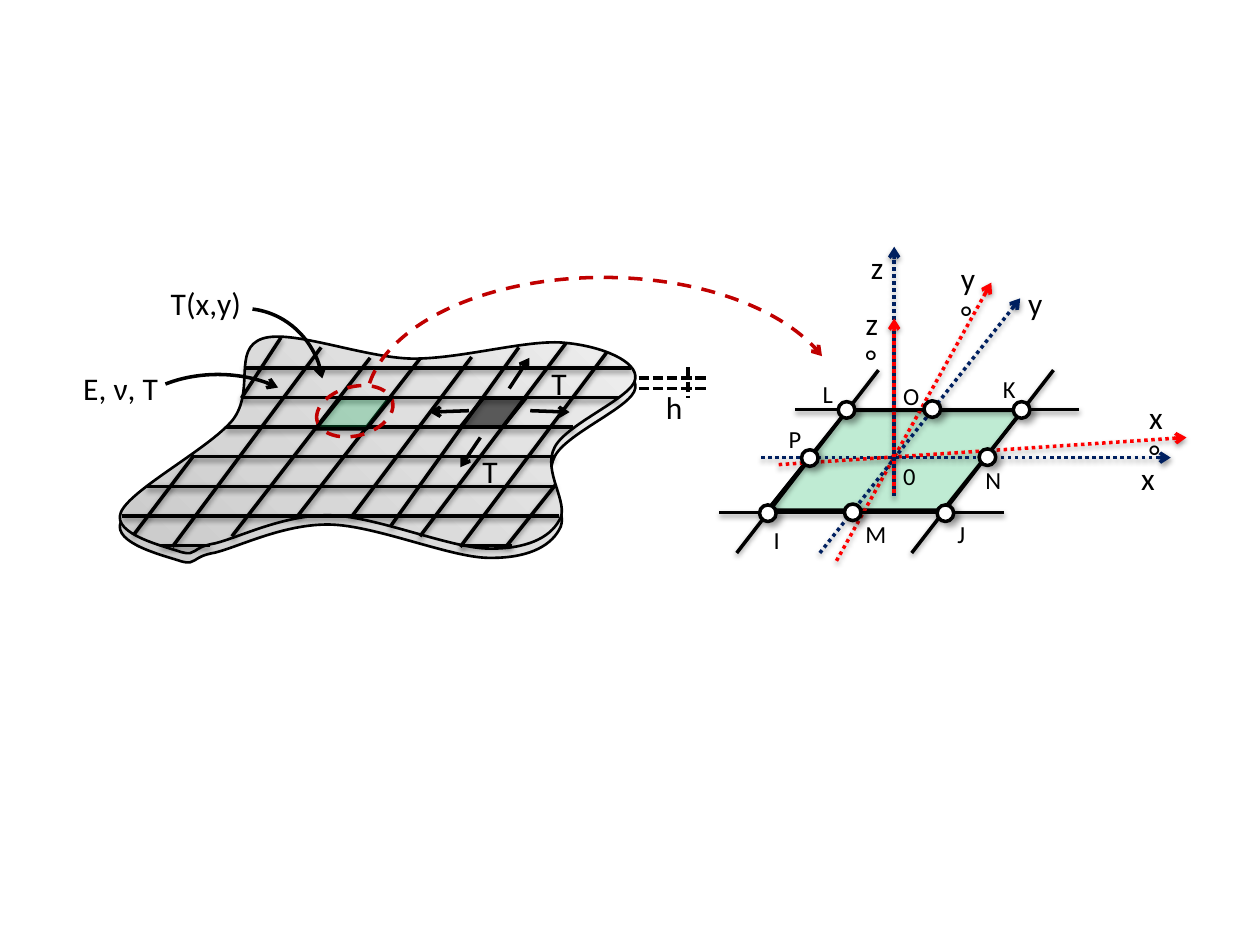
import pptx
import pptx.dml.color
import pptx.enum.dml
import pptx.enum.shapes
import pptx.oxml.ns
import pptx.util
from dataclasses import dataclass
from lxml import etree

Pt = pptx.util.Pt
qn = pptx.oxml.ns.qn
SHAPE = pptx.enum.shapes.MSO_SHAPE
DASH = pptx.enum.dml.MSO_LINE


@dataclass(frozen=True)
class Theme:
    font: str = "Calibri"
    label: float = 18
    node_label: float = 14
    line: float = 2
    outline: float = 1.5
    black: str = "000000"
    white: str = "FFFFFF"
    gray: str = "595959"
    green: str = "00B050"
    red: str = "FF0000"
    dark_red: str = "C00000"
    navy: str = "002060"
    plate_dark: str = "CACACA"
    plate_light: str = "EEEEEE"


THEME = Theme()
# Shadows: opacity %, blur, distance, direction in degrees
LINE_SHADOW = (38, 3.1, 1.6, 90)
NODE_SHADOW = (40, 4, 3, 45)
SKEW = 0.8


def rgb(color):
    return pptx.dml.color.RGBColor.from_string(color)


def add_alpha(color_element, percent):
    etree.SubElement(color_element, qn("a:alpha"), val=str(percent * 1000))


def set_shadow(shape, shadow=None):
    effects = etree.SubElement(shape._element.spPr, qn("a:effectLst"))
    if shadow:
        opacity, blur, distance, direction = shadow
        outer = etree.SubElement(effects, qn("a:outerShdw"), blurRad=str(Pt(blur)),
                                 dist=str(Pt(distance)), dir=str(direction * 60000),
                                 rotWithShape="0")
        add_alpha(etree.SubElement(outer, qn("a:srgbClr"), val=THEME.black), opacity)


def set_line(shape, color=THEME.black, dash=None, arrow=False, width=THEME.line):
    shape.line.color.rgb = rgb(color)
    shape.line.width = Pt(width)
    if dash:
        shape.line.dash_style = dash
    if arrow:
        etree.SubElement(shape.line._get_or_add_ln(), qn("a:tailEnd"), type="arrow")


def add_line(slide, box, points, shadow=None, **style):
    left, top = box
    x1, y1, x2, y2 = points
    line = slide.shapes.add_connector(
        pptx.enum.shapes.MSO_CONNECTOR.STRAIGHT,
        Pt(left + x1), Pt(top + y1), Pt(left + x2), Pt(top + y2))
    set_line(line, **style)
    set_shadow(line, shadow)


def add_preset(slide, box, kind, frame, fill=None, opacity=None, adjustments=(),
               rotation=0, shadow=None, **style):
    left, top = box
    x, y, width, height = frame
    shape = slide.shapes.add_shape(kind, Pt(left + x), Pt(top + y), Pt(width), Pt(height))
    for index, value in enumerate(adjustments):
        shape.adjustments[index] = value
    shape.rotation = rotation
    if fill:
        shape.fill.solid()
        shape.fill.fore_color.rgb = rgb(fill)
        if opacity:
            add_alpha(shape._element.spPr.find(qn("a:solidFill"))[0], opacity)
    else:
        shape.fill.background()
    set_line(shape, **style)
    set_shadow(shape, shadow)


def add_label(slide, box, text, frame, size=THEME.label, wrap=False):
    left, top = box
    x, y, width, height = frame
    label = slide.shapes.add_textbox(Pt(left + x), Pt(top + y), Pt(width), Pt(height))
    label.text_frame.word_wrap = wrap
    paragraph = label.text_frame.paragraphs[0]
    paragraph.text = text
    paragraph.font.name = THEME.font
    paragraph.font.size = Pt(size)
    paragraph.font.color.rgb = rgb(THEME.black)


# Start point, then two control points and an end point for each curve
PLATE_OUTLINE = [
    (87, 166.5),
    (101, 163), (126.5, 150), (152.5, 150.5),
    (178.5, 151), (220.5, 169), (242.5, 169.5),
    (264.5, 170), (278, 163.5), (283.5, 153.5),
    (290, 144), (273.5, 125.5), (281, 111.5),
    (288, 98), (326, 83), (327, 72.5),
    (328.5, 62.5), (308, 54), (287.5, 52),
    (266.5, 49.5), (229, 61), (200, 61),
    (171.5, 60.5), (131, 44), (114, 49.5),
    (96.5, 55.5), (110, 79), (97, 96),
    (83.5, 112.5), (38, 136), (33, 149),
    (28, 161.5), (59, 168.5), (67.5, 171.5),
    (77, 174), (72.5, 169), (87, 166.5),
]


def add_plate_surface(slide, box):
    left, top = box
    start, *rest = [(Pt(left + x), Pt(top + y)) for x, y in PLATE_OUTLINE]
    builder = slide.shapes.build_freeform(*start)
    builder.add_line_segments(rest, close=True)
    surface = builder.convert_to_shape()
    # Turn each three segments into one Bézier curve
    segments = list(surface._element.iter(qn("a:lnTo")))
    for first, second, third in zip(segments[::3], segments[1::3], segments[2::3]):
        curve = etree.Element(qn("a:cubicBezTo"))
        first.addprevious(curve)
        for segment in (first, second, third):
            curve.append(segment[0])
            segment.getparent().remove(segment)
    surface.fill.gradient()
    surface.fill.gradient_angle = 45
    for stop, color, position in zip(surface.fill.gradient_stops,
                                     (THEME.plate_dark, THEME.plate_light), (0, 1)):
        stop.color.rgb = rgb(color)
        stop.position = position
    set_line(surface, width=THEME.outline)
    set_shadow(surface)


def draw_plate(slide, box):
    left, top = box
    # Lower and upper surface
    for thickness in (5.3, 0):
        add_plate_surface(slide, (left, top + thickness))
    # Loaded cell with its tension arrows
    add_preset(slide, box, SHAPE.PARALLELOGRAM, (227, 83.5, 37.5, 16.5),
               fill=THEME.gray, adjustments=[SKEW])
    for points in [(238.5, 106, 227, 123), (255, 78, 266.5, 60.5),
                   (232, 90.7, 209.5, 91.5), (267, 90.7, 289.5, 91.5)]:
        add_line(slide, box, points, arrow=True)
    # Pointers from the labels
    add_preset(slide, box, SHAPE.ARC, (55.5, 34, 95, 91.5), rotation=270,
               adjustments=[3.85, 48.36], arrow=True)
    add_preset(slide, box, SHAPE.ARC, (31.5, 70, 114, 73.5),
               adjustments=[135.76, 191.76], arrow=True)
    # Thickness mark
    for points in [(329, 72, 368.5, 72), (329, 78, 368.5, 78), (357, 66, 357, 83.5)]:
        add_line(slide, box, points, dash=DASH.SQUARE_DOT)
    for text, x, y, width in [("T(x,y)", 54.5, 15, 56), ("T", 272, 60.5, 23),
                              ("T", 232.5, 111, 23), ("h", 337.5, 74, 24.5),
                              ("E, ν, T", 4.5, 63.5, 57.5)]:
        add_label(slide, box, text, (x, y, width, 29))
    # Mesh: diagonals, then rows at equal steps
    for points in [(187, 157, 260.5, 54.5), (204, 162.5, 287.5, 52),
                   (227, 168.5, 311, 57), (253.5, 168, 281.5, 133),
                   (165.5, 150.5, 233.5, 60), (134, 151, 204, 61),
                   (96.5, 162.5, 175.5, 60.5), (62.5, 168.5, 147.5, 54.5),
                   (102, 83.5, 124.5, 49), (40.5, 161.5, 75, 116)]:
        add_line(slide, box, points, shadow=LINE_SHADOW)
    for row, x1, x2 in [(0, 103.5, 324.5), (1, 102, 317.5), (2, 93, 291.5),
                        (3, 73.5, 281), (4, 48, 281), (5, 34, 283.5),
                        (6, 56, 84), (6, 227, 256.5)]:
        y = 66.3 + 16.9 * row
        add_line(slide, box, (x1, y, x2, y), shadow=LINE_SHADOW)


def draw_element(slide, box):
    add_preset(slide, box, SHAPE.PARALLELOGRAM, (42.5, 108.5, 146, 57),
               fill=THEME.green, opacity=25, adjustments=[SKEW])
    # Global axes in navy, local axes in red
    for color, points in [(THEME.red, (82, 194.5, 170.5, 35.5)),
                          (THEME.red, (49, 139.5, 282, 124)),
                          (THEME.navy, (72.5, 190, 187, 44.5)),
                          (THEME.navy, (39, 135.5, 273, 135.5)),
                          (THEME.navy, (115, 157.5, 115, 15)),
                          (THEME.red, (115, 155.5, 115, 56))]:
        add_line(slide, box, points, color=color, dash=DASH.ROUND_DOT,
                 arrow=True, shadow=LINE_SHADOW)
    # Extended edges
    for points in [(58.5, 108, 220.5, 108), (25, 190, 106, 85.5),
                   (125, 190, 206, 85.5), (15, 167, 178, 167)]:
        add_line(slide, box, points, shadow=LINE_SHADOW)
    # Nodes
    for x, y in [(83, 103.5), (139.5, 162.5), (38, 162.5), (183, 103.5),
                 (62, 131), (86.5, 162), (163.5, 130.5), (132, 103)]:
        add_preset(slide, box, SHAPE.FLOWCHART_CONNECTOR, (x, y, 9.5, 9.5),
                   fill=THEME.white, shadow=NODE_SHADOW)
    for text, x, y, width in [("I", 39, 170.5, 15), ("J", 144, 167, 16),
                              ("K", 170, 84, 18.5), ("L", 67, 87, 17.5),
                              ("M", 91.5, 167, 22.5), ("N", 160, 136, 20),
                              ("O", 113, 88, 20), ("P", 47.5, 113, 18.5),
                              ("0", 113, 134, 18)]:
        add_label(slide, box, text, (x, y, width, 19.5), size=THEME.node_label)
    # Axis names; the degree sign wraps below the letter
    for text, x, y, width in [("y", 184.5, 32.5, 19.5), ("x", 249, 132.5, 19.5),
                              ("z", 94.5, 12, 18), ("y°", 146, 18.5, 24.5),
                              ("x°", 253.5, 98, 24), ("z°", 91.5, 44, 24)]:
        add_label(slide, box, text, (x, y, width, 23), wrap="°" in text)


def draw_callout(slide, box):
    dashed = dict(color=THEME.dark_red, dash=DASH.DASH)
    add_preset(slide, box, SHAPE.ARC, (173, 14.5, 271.5, 147.5),
               adjustments=[111.4, 208.24], arrow=True, **dashed)
    add_preset(slide, box, SHAPE.OVAL, (144.5, 77, 44.5, 28), rotation=345.2, **dashed)
    add_preset(slide, box, SHAPE.PARALLELOGRAM, (144.5, 83.5, 43, 17.5),
               fill=THEME.green, opacity=25, adjustments=[SKEW])


def main():
    presentation = pptx.Presentation()
    presentation.slide_width, presentation.slide_height = Pt(720), Pt(540)
    slide = presentation.slides.add_slide(presentation.slide_layouts[6])
    plate_box, element_box = (36, 144), (396, 126)
    draw_plate(slide, plate_box)
    draw_element(slide, element_box)
    draw_callout(slide, plate_box)
    presentation.save("out.pptx")


if __name__ == "__main__":
    main()
